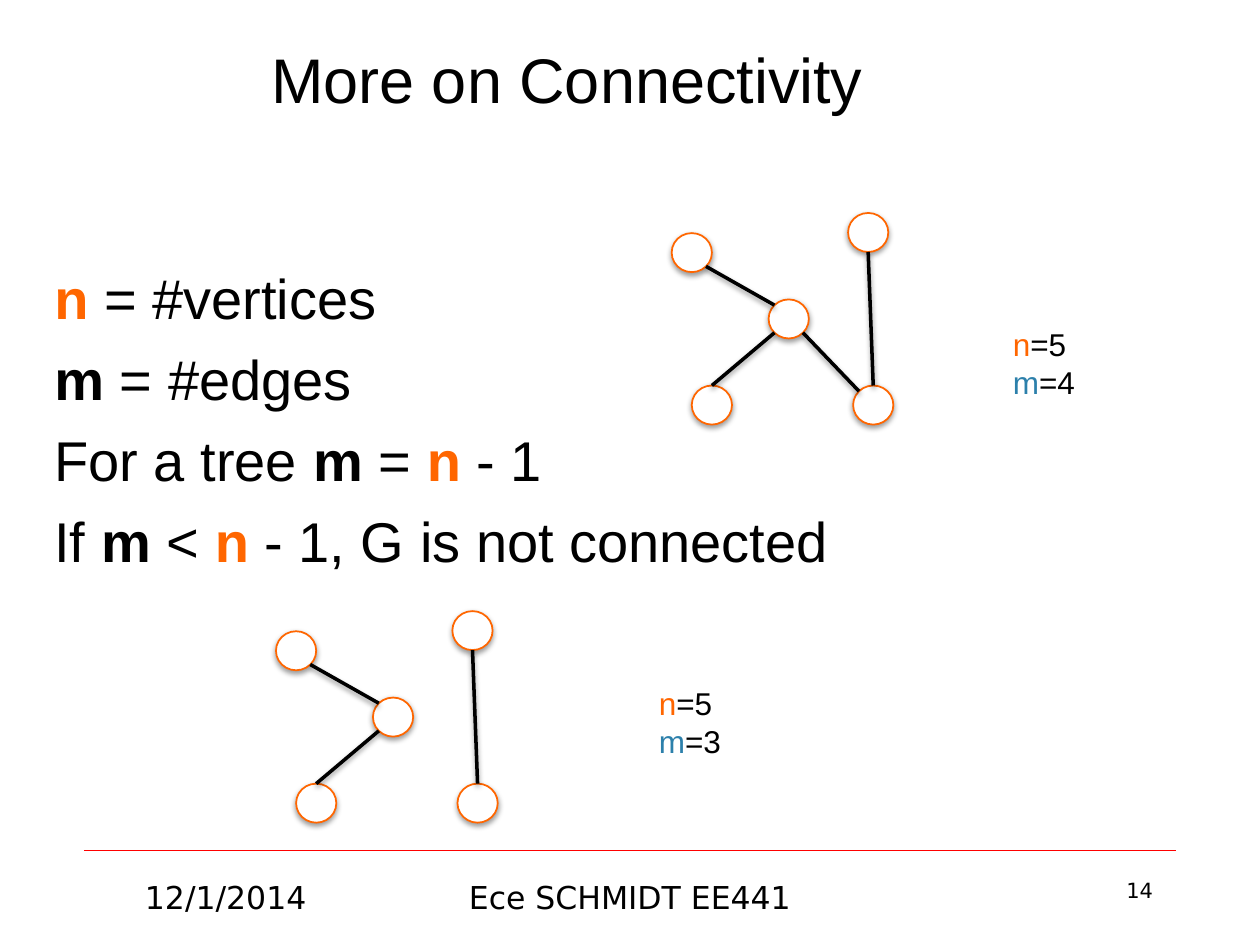
from math import cos, radians, sin
from typing import NamedTuple

from lxml.etree import SubElement
from pptx import Presentation
from pptx.dml.color import RGBColor
from pptx.enum.shapes import MSO_CONNECTOR, MSO_SHAPE
from pptx.enum.text import MSO_ANCHOR, PP_ALIGN
from pptx.oxml.ns import qn
from pptx.util import Pt

BLACK, WHITE, ORANGE, BLUE, RED = "000000", "FFFFFF", "FF6600", "2C80AB", "FF0000"
NODE_WIDTH, NODE_HEIGHT = 23, 22.3


class Box(NamedTuple):
    left: float
    top: float
    width: float
    height: float


class Piece(NamedTuple):
    text: str
    color: str = BLACK
    bold: bool = False


class Edge(NamedTuple):
    start: str
    start_angle: int
    end: str
    end_angle: int


class Graph(NamedTuple):
    left: float
    top: float
    edges: list[Edge]


class Footer(NamedTuple):
    text: str
    box: Box
    size: float
    align: PP_ALIGN


NODES = {
    "lower right": (103.7, 98.6),
    "lower left": (11.5, 98.6),
    "hub": (55.4, 49.4),
    "upper right": (100.8, 0),
    "upper left": (0, 11.5),
}
FOREST_EDGES = [
    Edge("lower right", 270, "upper right", 90),
    Edge("upper left", 45, "hub", 225),
    Edge("lower left", 270, "hub", 135),
]
TREE_EDGES = FOREST_EDGES + [Edge("hub", 45, "lower right", 225)]
GRAPHS = [Graph(157.7, 349.2, FOREST_EDGES), Graph(383.8, 121.7, TREE_EDGES)]

N = Piece("n", ORANGE, True)
M = Piece("m", BLACK, True)
STATEMENTS = [
    [N, Piece(" = #vertices")],
    [M, Piece(" = #edges")],
    [Piece("For a tree "), M, Piece(" = "), N, Piece(" - 1")],
    [Piece("If "), M, Piece(" < "), N, Piece(" - 1, G is not connected")],
]
COUNTS = [(Box(571.7, 182.2, 50.4, 51), 4), (Box(369.4, 387.4, 50.4, 51), 3)]
FOOTERS = [
    Footer("14", Box(516, 498, 150, 36), 12, PP_ALIGN.RIGHT),
    Footer("12/1/2014", Box(54, 498, 150, 36), 18, PP_ALIGN.CENTER),
    Footer("Ece SCHMIDT EE441", Box(246, 498, 228, 36), 18, PP_ALIGN.CENTER),
]


def paint(color_format, color: str) -> None:
    color_format.rgb = RGBColor.from_string(color)


def set_font(font, name: str, size: float, color: str, bold: bool = False) -> None:
    font.name, font.size, font.bold = name, Pt(size), bold
    paint(font.color, color)


def add_effects(shape, shadowed: bool = True) -> None:
    effects = SubElement(shape._element.spPr, qn("a:effectLst"))
    if shadowed:
        shadow = SubElement(effects, qn("a:outerShdw"), blurRad=str(Pt(3.1)),
                            dist=str(Pt(1.6)), dir="5400000", rotWithShape="0")
        color = SubElement(shadow, qn("a:srgbClr"), val=BLACK)
        SubElement(color, qn("a:alpha"), val="38000")


def add_line(shapes, start: tuple[float, float], end: tuple[float, float],
             color: str, width: float, shadowed: bool) -> None:
    line = shapes.add_connector(MSO_CONNECTOR.STRAIGHT, Pt(start[0]), Pt(start[1]),
                                Pt(end[0]), Pt(end[1]))
    paint(line.line.color, color)
    line.line.width = Pt(width)
    add_effects(line, shadowed)


def rim_point(graph: Graph, node: str, angle: int) -> tuple[float, float]:
    left, top = NODES[node]
    return (graph.left + left + NODE_WIDTH / 2 * (1 + cos(radians(angle))),
            graph.top + top + NODE_HEIGHT / 2 * (1 + sin(radians(angle))))


def draw_graph(slide, graph: Graph) -> None:
    shapes = slide.shapes.add_group_shape().shapes
    for left, top in NODES.values():
        node = shapes.add_shape(MSO_SHAPE.OVAL, Pt(graph.left + left), Pt(graph.top + top),
                                Pt(NODE_WIDTH), Pt(NODE_HEIGHT))
        node.fill.solid()
        paint(node.fill.fore_color, WHITE)
        paint(node.line.color, ORANGE)
        node.line.width = Pt(1)
        add_effects(node)
    for edge in graph.edges:
        add_line(shapes, rim_point(graph, edge.start, edge.start_angle),
                 rim_point(graph, edge.end, edge.end_angle), BLACK, 2, True)


def write_lines(slide, box: Box, lines: list[list[Piece]], font_name: str, size: float,
                wrap: bool = True, gap: float = 0, align: PP_ALIGN = PP_ALIGN.LEFT) -> None:
    frame = slide.shapes.add_textbox(*map(Pt, box)).text_frame
    frame.word_wrap = wrap
    for index, pieces in enumerate(lines):
        paragraph = frame.add_paragraph() if index else frame.paragraphs[0]
        paragraph.alignment = align
        if index and gap:
            paragraph.space_before = Pt(gap)
        for piece in pieces:
            run = paragraph.add_run()
            run.text = piece.text
            set_font(run.font, font_name, size, piece.color, piece.bold)


def write_title(slide, text: str) -> None:
    title = slide.shapes.title
    title.left, title.top, title.width, title.height = map(Pt, (18, 0, 612, 90))
    title.text_frame.text = text
    title.text_frame.vertical_anchor = MSO_ANCHOR.MIDDLE
    paragraph = title.text_frame.paragraphs[0]
    paragraph.alignment = PP_ALIGN.CENTER
    set_font(paragraph.runs[0].font, "Arial", 36, BLACK)


def main() -> None:
    presentation = Presentation()
    presentation.slide_width, presentation.slide_height = Pt(720), Pt(540)
    slide = presentation.slides.add_slide(presentation.slide_layouts[5])
    add_line(slide.shapes, (48, 486), (672, 486), RED, 0.25, False)
    write_title(slide, "More on Connectivity")
    write_lines(slide, Box(24, 147, 696, 339), STATEMENTS, "Arial", 32, gap=7.8)
    for graph in GRAPHS:
        draw_graph(slide, graph)
    for box, edge_count in COUNTS:
        counts = [[Piece("n", ORANGE), Piece("=5")],
                  [Piece("m", BLUE), Piece(f"={edge_count}")]]
        write_lines(slide, box, counts, "Arial", 18, wrap=False)
    for footer in FOOTERS:
        write_lines(slide, footer.box, [[Piece(footer.text)]], "DejaVu Sans", footer.size,
                    align=footer.align)
    presentation.save("out.pptx")


if __name__ == "__main__":
    main()
